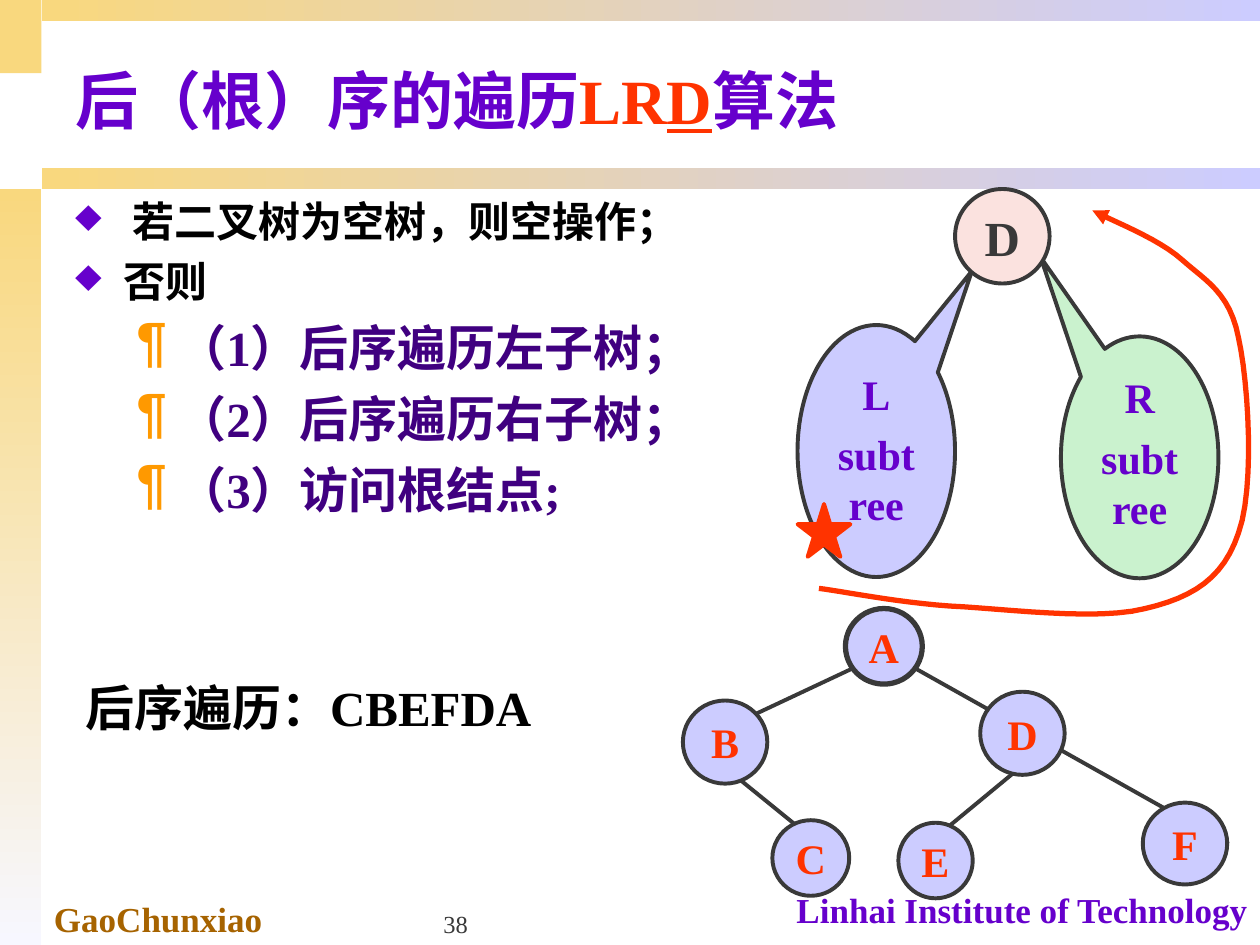
from lxml import etree
from pptx import Presentation
from pptx.dml.color import RGBColor
from pptx.enum.shapes import MSO_CONNECTOR, MSO_SHAPE
from pptx.enum.text import MSO_ANCHOR, PP_ALIGN
from pptx.oxml.ns import qn
from pptx.util import Inches, Pt

RECT, OVAL, STAR = MSO_SHAPE.RECTANGLE, MSO_SHAPE.OVAL, MSO_SHAPE.STAR_5_POINT
CALLOUT, LINE = MSO_SHAPE.OVAL_CALLOUT, MSO_CONNECTOR.STRAIGHT
TOP, MIDDLE, BOTTOM = MSO_ANCHOR.TOP, MSO_ANCHOR.MIDDLE, MSO_ANCHOR.BOTTOM
LEFT, CENTER, RIGHT = PP_ALIGN.LEFT, PP_ALIGN.CENTER, PP_ALIGN.RIGHT

GOLD = RGBColor(0xF9, 0xD8, 0x7E)
PALE = RGBColor(0xF7, 0xF7, 0xFF)
LILAC = RGBColor(0xCC, 0xCC, 0xFF)
PURPLE = RGBColor(0x66, 0x00, 0xCC)
INDIGO = RGBColor(0x40, 0x00, 0x80)
RED = RGBColor(0xFF, 0x33, 0x00)
ORANGE = RGBColor(0xFF, 0x99, 0x00)
BROWN = RGBColor(0xA6, 0x63, 0x00)
GREEN = RGBColor(0xCA, 0xF2, 0xCE)
PINK = RGBColor(0xFB, 0xE2, 0xDF)
DARK = RGBColor(0x39, 0x39, 0x39)
BLACK = RGBColor(0, 0, 0)
FONT = "Times New Roman"


def write(frame, *paras, size=24, color=BLACK, bold=True, align=LEFT,
          anchor=TOP, wrap=True, level=0, mark=None):
    """Add paragraphs; each is a string or a list of (text, color, underline)."""
    frame.word_wrap, frame.vertical_anchor = wrap, anchor
    for runs in paras:
        fresh = not frame.text
        para = frame.paragraphs[0] if fresh else frame.add_paragraph()
        para.alignment, para.level = align, level
        if not fresh:
            para.space_before = Pt(size * 0.24)
        if mark:
            bullet(para, *mark)
        for words, tint, under in [(runs, color, False)] if isinstance(runs, str) else runs:
            run = para.add_run()
            run.text = words
            font = run.font
            font.name, font.size, font.bold = FONT, Pt(size), bold
            font.color.rgb = tint
            if under:
                font.underline = True
    return frame


def bullet(para, char, color, left, hang, scale):
    props = para._p.get_or_add_pPr()
    props.set("marL", str(Inches(left)))
    props.set("indent", str(-Inches(hang)))
    tint = etree.SubElement(props, qn("a:buClr"))
    etree.SubElement(tint, qn("a:srgbClr"), val=str(color))
    etree.SubElement(props, qn("a:buSzPct"), val=str(scale * 1000))
    etree.SubElement(props, qn("a:buChar"), char=char)


def label(slide, box, *paras, **style):
    frame = slide.shapes.add_textbox(*map(Inches, box)).text_frame
    return write(frame, *paras, **style)


def shape(slide, kind, box, fill, line=None, width=2.25):
    """Fill is a color, or (first, last, angle) for a gradient."""
    item = slide.shapes.add_shape(kind, *map(Inches, box))
    item.shadow.inherit = False
    if isinstance(fill, RGBColor):
        item.fill.solid()
        item.fill.fore_color.rgb = fill
    else:
        first, last, angle = fill
        item.fill.gradient()
        item.fill.gradient_angle = angle
        for stop, tint, pos in zip(item.fill.gradient_stops, (first, last), (0, 1)):
            stop.color.rgb, stop.position = tint, pos
    if line is None:
        item.line.fill.background()
    else:
        item.line.color.rgb, item.line.width = line, Pt(width)
    return item


def border(slide, x, y, w, h):
    """Bands along the edges, with the footer."""
    side, band = 0.33, 0.17
    shape(slide, RECT, (x, y, side, 0.58), GOLD)
    shape(slide, RECT, (x, y + 1.5, side, h - 1.5), (GOLD, PALE, 270))
    for top in (1.33, 0):
        shape(slide, RECT, (x + side, y + top, w - side, band), (GOLD, LILAC, 0))
    label(slide, (x + side, y + 7.07, 3.5, 0.44), "GaoChunxiao", size=20, color=BROWN)
    label(slide, (x + 6.08, y + 7, 3.92, 0.43), "Linhai Institute of Technology",
          size=20, color=PURPLE, align=RIGHT)
    label(slide, (x + 3.42, y + 7, 2.08, 0.5), "38", size=14, color=DARK,
          bold=False, anchor=BOTTOM)


def steps(slide, x, y, w, h):
    """Two outer points and three numbered steps."""
    body = label(slide, (x, y, w, h), " 若二叉树为空树，则空操作；", "否则",
                 mark=("♦", PURPLE, 0.38, 0.38, 110))
    write(body, "（1）后序遍历左子树；", "（2）后序遍历右子树；", "（3）访问根结点;",
          size=28, color=INDIGO, level=1, mark=("¶", ORANGE, 0.81, 0.31, 100))


def scheme(slide, x, y):
    """Root with its left and right subtrees."""
    for dx, dy, high, fill, name, tip, inset in (
            (0, 1.08, 2, LILAC, "L", (0.607, -0.714), 0.05),
            (2.09, 1.17, 1.92, GREEN, "R", (-0.629, -0.827), 0)):
        item = shape(slide, CALLOUT, (x + dx, y + dy, 1.25, high), fill, DARK)
        item.adjustments[0], item.adjustments[1] = tip
        item.text_frame.margin_top = item.text_frame.margin_bottom = Inches(inset)
        write(item.text_frame, name, "subtree", color=PURPLE, align=CENTER)
    shape(slide, OVAL, (x + 1.25, y, 0.75, 0.75), PINK, DARK)
    label(slide, (x + 1.25, y + 0.1, 0.75, 0.57), "D", size=28, color=DARK, align=CENTER)
    shape(slide, STAR, (x, y + 2.5, 0.42, 0.42), RED, RED)


def route(slide, x, y):
    """Curved arrow around the subtrees, from cubic segments."""
    knots = [(0, 3), (0.17, 3.02), (0.61, 3.11), (1.04, 3.14),
             (1.47, 3.16), (2.2, 3.26), (2.59, 3.16),
             (2.97, 3.07), (3.21, 2.92), (3.33, 2.56),
             (3.46, 2.2), (3.41, 1.37), (3.33, 1.01),
             (3.26, 0.65), (3.07, 0.56), (2.88, 0.39),
             (2.69, 0.22), (2.32, 0.08), (2.17, 0)]
    dots, count = [], 12
    for i in range(0, len(knots) - 1, 3):
        for n in range(1, count + 1):
            t = n / count
            mix = ((1 - t) ** 3, 3 * t * (1 - t) ** 2, 3 * t * t * (1 - t), t ** 3)
            px, py = (sum(m * k[a] for m, k in zip(mix, knots[i:i + 4])) for a in (0, 1))
            dots.append((Inches(x + px), Inches(y + py)))
    pen = slide.shapes.build_freeform(Inches(x + knots[0][0]), Inches(y + knots[0][1]))
    pen.add_line_segments(dots, close=False)
    curve = pen.convert_to_shape()
    curve.shadow.inherit = False
    curve.fill.background()
    curve.line.color.rgb, curve.line.width = RED, Pt(3)
    etree.SubElement(curve._element.spPr.find(qn("a:ln")), qn("a:tailEnd"), type="triangle")


def tree(slide, x, y):
    """Sample binary tree: edges first, nodes over them."""
    edges = [(2.69, 1.25, 2, 1.82), (1.8, 0.45, 4.33, 1.87),
             (1.4, 0.45, 0.08, 1.07), (0.43, 1.34, 1.12, 1.9)]
    nodes = [("A", 1.29, 0, 0.61, 0.6), ("B", 0, 0.73, 0.67, 0.66),
             ("C", 0.71, 1.68, 0.61, 0.6), ("D", 2.36, 0.66, 0.67, 0.66),
             ("F", 3.65, 1.54, 0.67, 0.65), ("E", 1.71, 1.7, 0.59, 0.6)]
    for x1, y1, x2, y2 in edges:
        edge = slide.shapes.add_connector(
            LINE, *map(Inches, (x + x1, y + y1, x + x2, y + y2)))
        edge.line.color.rgb, edge.line.width = DARK, Pt(2.25)
        etree.SubElement(edge._element.spPr, qn("a:effectLst"))
    for name, dx, dy, w, h in nodes:
        node = shape(slide, OVAL, (x + dx, y + dy, w, h), LILAC, DARK,
                     3 if name == "A" else 2.25)
        write(node.text_frame, name, color=RED, align=CENTER, anchor=MIDDLE, wrap=False)


def main():
    deck = Presentation()
    deck.slide_width, deck.slide_height = Inches(10), Inches(7.5)
    slide = deck.slides.add_slide(deck.slide_layouts[6])
    border(slide, 0, 0, 10, 7.5)
    title = [("后（根）序的遍历", PURPLE, False), ("LR", RED, False),
             ("D", RED, True), ("算法", PURPLE, False)]
    label(slide, (0.5, 0.25, 9.5, 1.07), title, size=36, anchor=MIDDLE)
    steps(slide, 0.5, 1.5, 6.17, 5.42)
    scheme(slide, 6.33, 1.5)
    route(slide, 6.5, 1.67)
    tree(slide, 5.42, 4.83)
    label(slide, (0.58, 5.33, 4.17, 0.57), "后序遍历：CBEFDA", size=28)
    deck.save("out.pptx")


if __name__ == "__main__":
    main()
